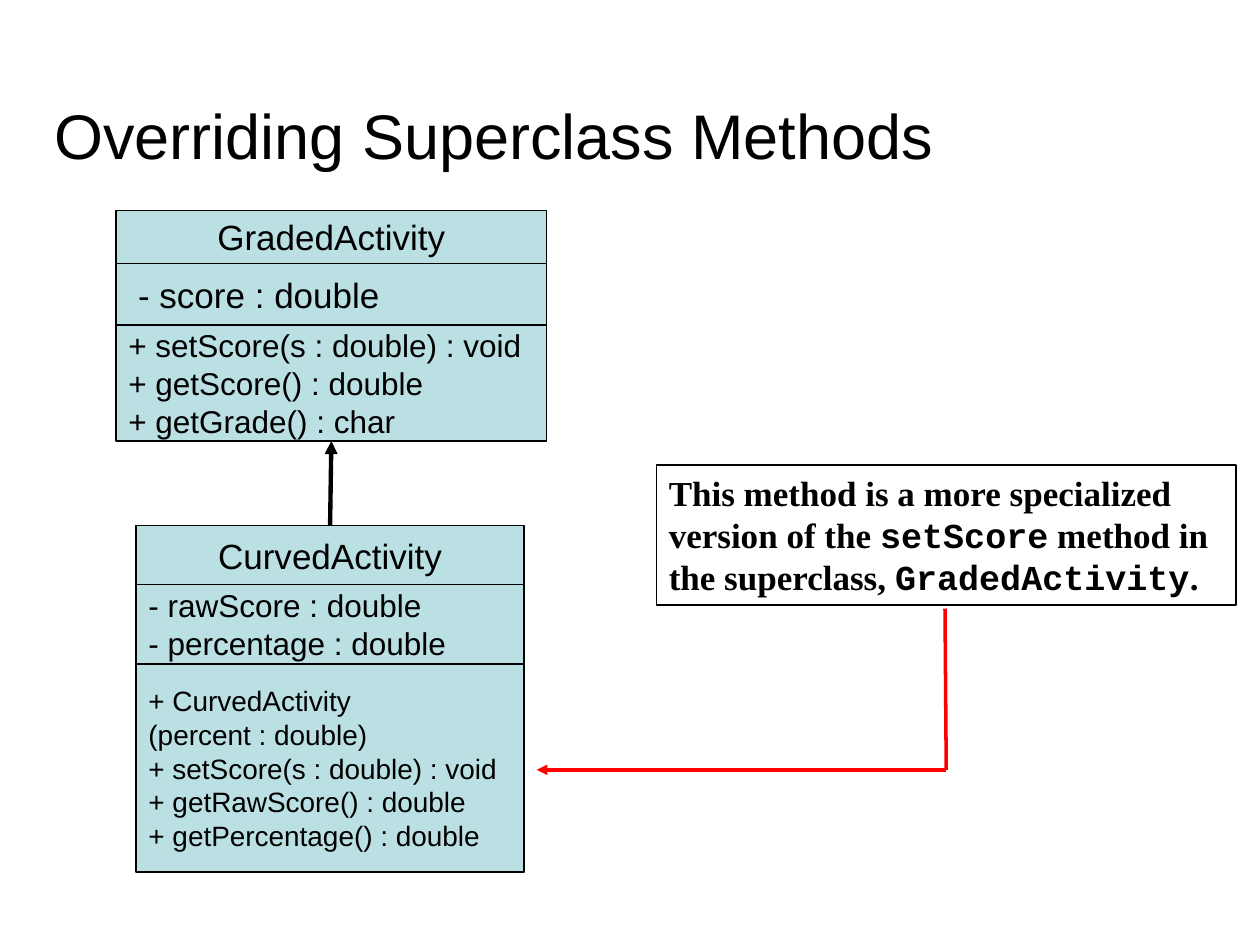
from pptx import Presentation
from pptx.dml.color import RGBColor
from pptx.enum.shapes import MSO_CONNECTOR as CONN, MSO_SHAPE as SHAPE
from pptx.enum.text import MSO_ANCHOR as ANCHOR, MSO_AUTO_SIZE as AUTO, PP_ALIGN as ALIGN
from pptx.oxml.ns import qn
from pptx.util import Pt
from lxml.etree import SubElement

PX = 9144
BLACK = RGBColor(0x00, 0x00, 0x00)
RED = RGBColor(0xFF, 0x00, 0x00)
TEAL = RGBColor(0xBB, 0xE0, 0xE3)
SERIF, MONO = "Times New Roman", "Courier New"

GRADED = [
    (42, 20, ALIGN.CENTER, ["GradedActivity"]),
    (49, 20, ALIGN.LEFT, [" - score : double"]),
    (92, 18, ALIGN.LEFT, ["+ setScore(s : double) : void", "+ getScore() : double",
                          "+ getGrade() : char"]),
]
CURVED = [
    (47, 20, ALIGN.CENTER, ["CurvedActivity"]),
    (63, 18, ALIGN.LEFT, ["- rawScore : double", "- percentage : double"]),
    (165, 16, ALIGN.LEFT, ["+ CurvedActivity", "(percent : double)",
                           "+ setScore(s : double) : void", "+ getRawScore() : double",
                           "+ getPercentage() : double"]),
]
NOTE = [("This method is a more specialized version of the ", SERIF), ("setScore", MONO),
        (" method in the superclass, ", SERIF), ("GradedActivity", MONO), (".", SERIF)]


def emu(*lengths):
    """Turn px lengths into EMU."""
    return [v * PX for v in lengths]


def set_font(font, size, name="Arial", **extra):
    """Apply size, typeface and further values to a font."""
    font.color.rgb = BLACK
    for key, value in dict(size=Pt(size), name=name, **extra).items():
        setattr(font, key, value)


def add_box(shapes, box, width, fill=None):
    """Add an outlined rectangle, filled if a colour is given."""
    sp = shapes.add_shape(SHAPE.RECTANGLE, *emu(*box))
    sp.shadow.inherit = False
    sp.line.color.rgb = BLACK
    sp.line.width = Pt(width)
    if fill is None:
        sp.fill.background()
    else:
        sp.fill.solid()
        sp.fill.fore_color.rgb = fill
    return sp


def add_title(s, box, text):
    """Place and format the title placeholder."""
    sp = s.shapes.title
    sp.left, sp.top, sp.width, sp.height = emu(*box)
    tf = sp.text_frame
    tf.text = text
    tf.vertical_anchor = ANCHOR.BOTTOM
    tf.auto_size = AUTO.NONE
    p = tf.paragraphs[0]
    p.alignment = ALIGN.LEFT
    set_font(p.runs[0].font, 36)


def add_class(s, left, top, width, sections):
    """Stack the sections of a UML class and return its boxes."""
    group = s.shapes.add_group_shape()
    boxes = []
    for height, size, align, lines in sections:
        sp = add_box(group.shapes, (left, top, width, height), 0.75, TEAL)
        tf = sp.text_frame
        tf.word_wrap = True
        tf.vertical_anchor = ANCHOR.MIDDLE
        for i, line in enumerate(lines):
            p = tf.add_paragraph() if i else tf.paragraphs[0]
            p.alignment = align
            r = p.add_run()
            r.text = line
            set_font(r.font, size)
        boxes.append(sp)
        top += height
    return boxes


def add_note(s, box, parts):
    """Add the bold callout with mixed typefaces."""
    tf = add_box(s.shapes, box, 1).text_frame
    tf.word_wrap = True
    tf.auto_size = AUTO.SHAPE_TO_FIT_TEXT
    tf.vertical_anchor = ANCHOR.TOP
    p = tf.paragraphs[0]
    p.alignment = ALIGN.LEFT
    for text, name in parts:
        r = p.add_run()
        r.text = text
        set_font(r.font, 20, name, bold=True)


def add_line(s, ends, color, width, arrow=False):
    """Add a straight line, with an arrowhead at its end if asked."""
    line = s.shapes.add_connector(CONN.STRAIGHT, *emu(*ends))
    line.line.color.rgb = color
    line.line.width = Pt(width)
    if arrow:
        SubElement(line.line._get_or_add_ln(), qn("a:tailEnd"), type="triangle")
    SubElement(line._element.spPr, qn("a:effectLst"))
    return line


def main():
    """Build the slide and save it."""
    prs = Presentation()
    prs.slide_width, prs.slide_height = emu(1000, 750)
    s = prs.slides.add_slide(prs.slide_layouts[5])
    add_title(s, (33, 33, 942, 109), "Overriding Superclass Methods")
    parent = add_class(s, 92, 167, 342, GRADED)
    child = add_class(s, 108, 417, 308, CURVED)
    inherits = add_line(s, (262, 417, 262, 350), BLACK, 2.5, arrow=True)
    inherits.begin_connect(child[0], 0)
    inherits.end_connect(parent[-1], 2)
    add_note(s, (521, 369, 460, 111), NOTE)
    add_line(s, (751, 611, 426, 611), RED, 2, arrow=True)
    add_line(s, (750, 483, 751, 611), RED, 2)
    prs.save("out.pptx")


if __name__ == "__main__":
    main()
